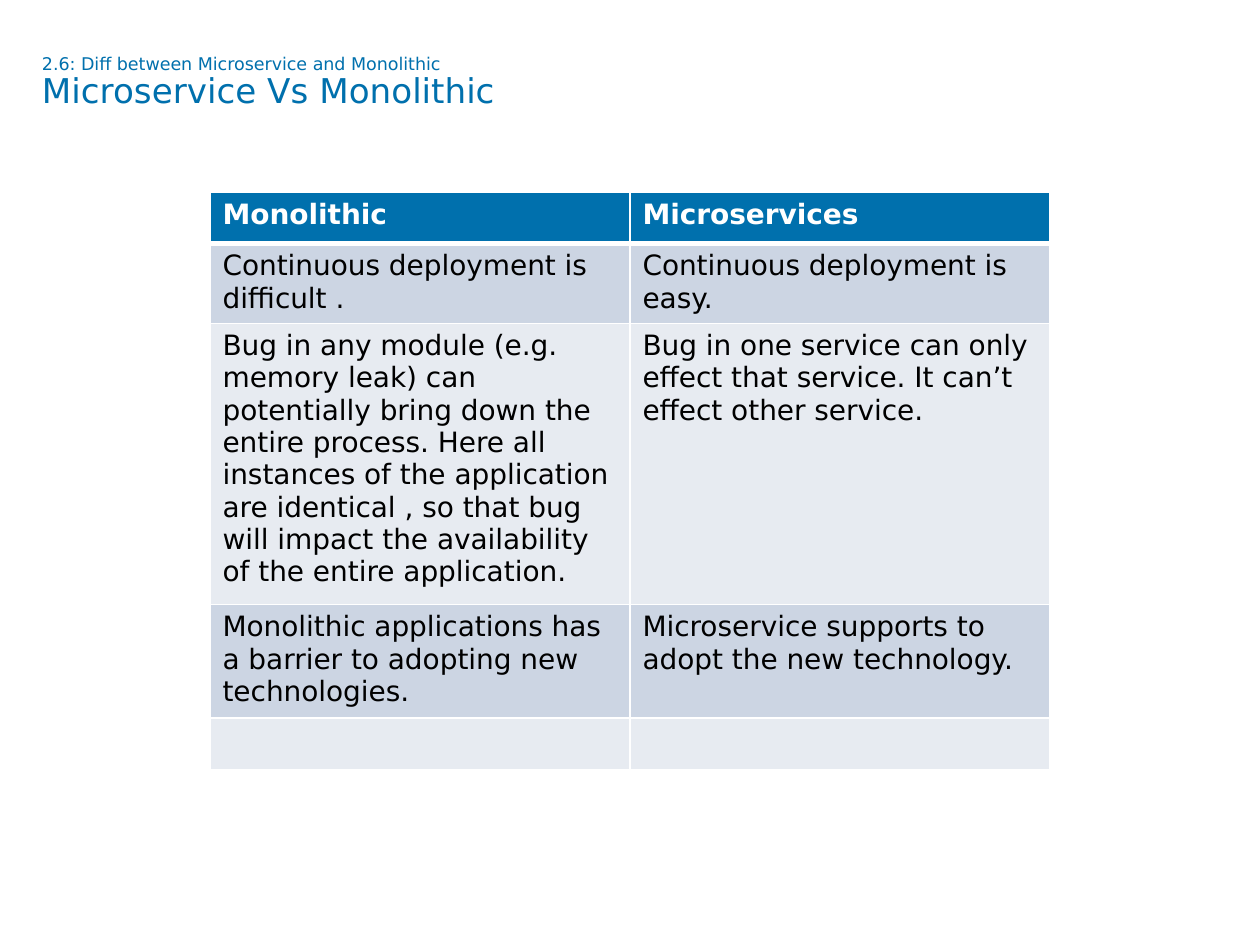
from dataclasses import dataclass

from lxml import etree
from pptx import Presentation
from pptx.dml.color import RGBColor
from pptx.enum import text
from pptx.oxml import ns
from pptx.util import Pt


@dataclass(frozen=True)
class Theme:
    font: str = "DejaVu Sans"
    accent: str = "0070AD"
    white: str = "FFFFFF"
    black: str = "000000"
    bands: tuple = ("CCD5E3", "E7EBF1")
    kicker: float = 10
    title: float = 19.5
    body: float = 16
    rule: float = 1
    header_rule: float = 3


THEME = Theme()
ROWS = [
    ("Monolithic", "Microservices"),
    ("Continuous deployment is difficult .", "Continuous deployment is easy."),
    ("Bug in any module (e.g. memory leak) can potentially bring down the entire "
     "process. Here all instances of the application are identical , so that bug "
     "will impact the availability of the entire application.",
     "Bug in one service can only effect that service. It can’t effect other service."),
    ("Monolithic applications has a barrier to adopting new technologies.",
     "Microservice supports to adopt the new technology."),
    ("", ""),
]


def style_run(r, size, color, bold=False):
    r.font.name = THEME.font
    r.font.size = Pt(size)
    r.font.bold = bold
    r.font.color.rgb = RGBColor.from_string(color)


def add_border(cell, side, width):
    line = etree.SubElement(cell._tc.get_or_add_tcPr(), ns.qn(f"a:ln{side}"),
                            w=str(Pt(width)))
    fill = etree.SubElement(line, ns.qn("a:solidFill"))
    etree.SubElement(fill, ns.qn("a:srgbClr"), val=THEME.white)


def add_heading(s, left, top, width, height, kicker, title):
    tf = s.shapes.add_textbox(Pt(left), Pt(top), Pt(width), Pt(height)).text_frame
    tf.word_wrap = True
    tf.vertical_anchor = text.MSO_ANCHOR.TOP
    tf.margin_left = tf.margin_top = tf.margin_right = tf.margin_bottom = 0
    p = tf.paragraphs[0]
    p.text = f"{kicker}\v{title}"
    p.line_spacing = 0.9
    for r, size in zip(p.runs, (THEME.kicker, THEME.title)):
        style_run(r, size, THEME.accent)
    # The line break takes the kicker size, so the first line stays low
    line_break = p._p.find(ns.qn("a:br"))
    etree.SubElement(line_break, ns.qn("a:rPr"), sz=str(int(THEME.kicker * 100)))


def add_comparison(s, left, top, width, row_height, rows):
    table = s.shapes.add_table(len(rows), len(rows[0]), Pt(left), Pt(top), Pt(width),
                               Pt(row_height * len(rows))).table
    for i, values in enumerate(rows):
        table.rows[i].height = Pt(row_height)
        header = i == 0
        for j, value in enumerate(values):
            cell = table.cell(i, j)
            # Borders, with a heavier rule under the header
            for side in "LRTB":
                heavy = (i, side) in ((0, "B"), (1, "T"))
                add_border(cell, side, THEME.header_rule if heavy else THEME.rule)
            # Header colour or alternating bands
            cell.fill.solid()
            cell.fill.fore_color.rgb = RGBColor.from_string(
                THEME.accent if header else THEME.bands[(i - 1) % 2])
            # Cell text
            cell.text_frame.text = value
            for r in cell.text_frame.paragraphs[0].runs:
                style_run(r, THEME.body, THEME.white if header else THEME.black, header)


def main():
    prs = Presentation()
    prs.slide_width, prs.slide_height = Pt(720), Pt(540)
    s = prs.slides.add_slide(prs.slide_layouts[6])
    add_heading(s, 24, 31.5, 651, 68, "2.6: Diff between Microservice and Monolithic",
                "Microservice Vs Monolithic")
    add_comparison(s, 120, 110, 480, 29.2, ROWS)
    prs.save("out.pptx")


if __name__ == "__main__":
    main()
